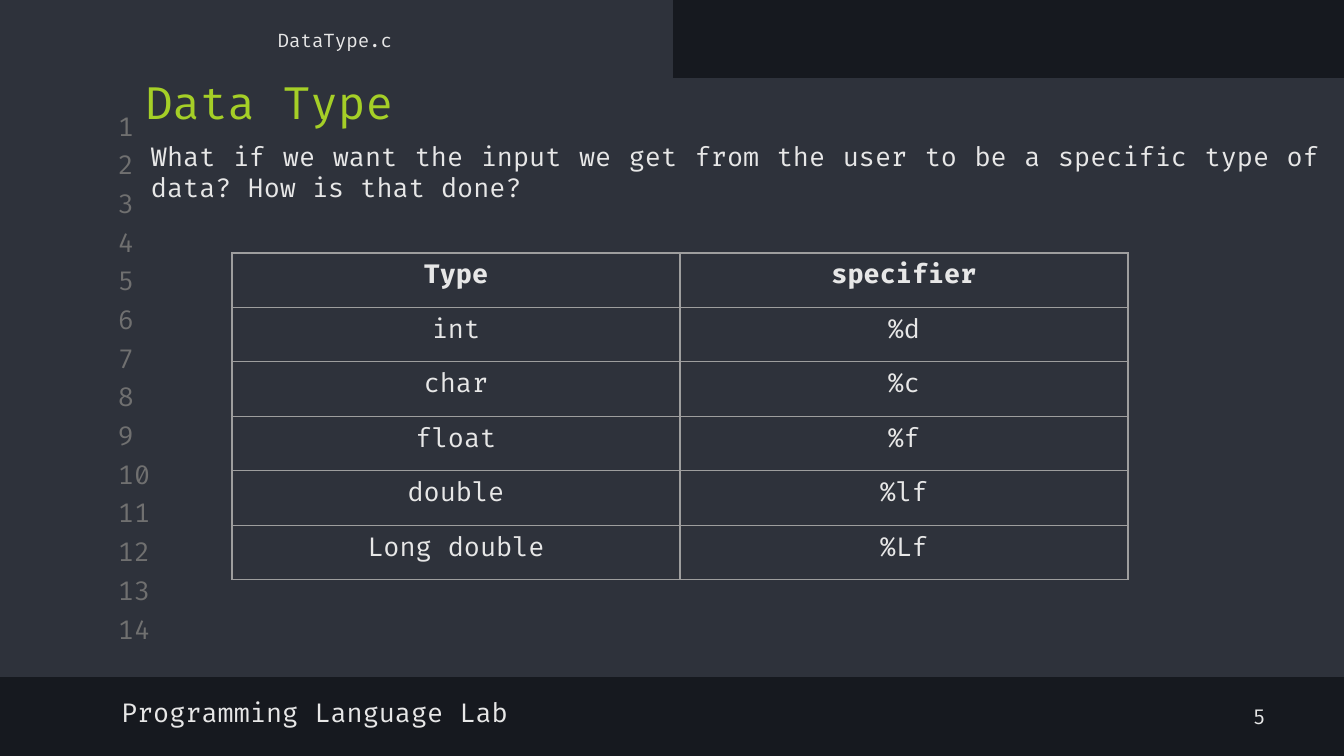
from dataclasses import dataclass

from lxml import etree
from pptx import Presentation
from pptx.dml.color import RGBColor
from pptx.enum.shapes import MSO_SHAPE
from pptx.enum.text import MSO_ANCHOR, MSO_AUTO_SIZE, PP_ALIGN
from pptx.oxml.ns import qn
from pptx.util import Pt

RECT = MSO_SHAPE.RECTANGLE
TOP, MIDDLE = MSO_ANCHOR.TOP, MSO_ANCHOR.MIDDLE
LEFT, CENTER, JUSTIFY = PP_ALIGN.LEFT, PP_ALIGN.CENTER, PP_ALIGN.JUSTIFY
FIXED = MSO_AUTO_SIZE.NONE
SCALE = 914400 / 134.4


@dataclass(frozen=True)
class Theme:
    face: str = "Fira Code"
    back: str = "16191F"
    panel: str = "2E323B"
    dim: str = "707070"
    ink: str = "E7E7E7"
    lime: str = "A5CF27"
    rule: str = "9E9E9E"
    title: int = 24
    body: int = 14
    page: int = 11
    tab: int = 10
    line: float = 0.75


def px(num):
    return round(num * SCALE)


def apply(item, values):
    for key, value in values.items():
        setattr(item, key, value)


class Deck:
    def __init__(self, theme):
        self.theme = theme
        self.file = Presentation()
        apply(self.file, {"slide_width": px(1344), "slide_height": px(756)})
        self.slide = self.file.slides.add_slide(self.file.slide_layouts[5])
        fill = self.slide.background.fill
        fill.solid()
        fill.fore_color.rgb = RGBColor.from_string(theme.back)

    def put(self, frame, text, size, color, align=LEFT, bold=False):
        frame.text = text
        para = frame.paragraphs[0]
        para.alignment = align
        font = para.runs[0].font
        apply(font, {"name": self.theme.face, "size": Pt(size), "bold": bold})
        font.color.rgb = RGBColor.from_string(color)

    def panel(self, *box):
        shape = self.slide.shapes.add_shape(RECT, *map(px, box))
        shape.shadow.inherit = False
        shape.fill.solid()
        color = RGBColor.from_string(self.theme.panel)
        shape.fill.fore_color.rgb = color
        shape.line.color.rgb = color
        shape.line.width = Pt(self.theme.line)

    def style(self, frame, anchor, pad):
        apply(frame, {
            "word_wrap": True, "auto_size": FIXED, "vertical_anchor": anchor,
            "margin_left": px(13), "margin_right": px(13),
            "margin_top": px(pad), "margin_bottom": px(pad),
        })

    def label(self, box, text, size, color, align=LEFT, anchor=MIDDLE, pad=13):
        frame = self.slide.shapes.add_textbox(*map(px, box)).text_frame
        self.style(frame, anchor, pad)
        self.put(frame, text, size, color, align)

    def title(self, box, text):
        shape = self.slide.shapes.title
        apply(shape, dict(zip(("left", "top", "width", "height"), map(px, box))))
        self.style(shape.text_frame, MIDDLE, 13)
        self.put(shape.text_frame, text, self.theme.title, self.theme.lime)
        node = shape.element
        node.getparent().append(node)

    def border(self, cell):
        props = cell._tc.get_or_add_tcPr()
        for side, tag in enumerate(("a:lnL", "a:lnR", "a:lnT", "a:lnB")):
            line = etree.Element(qn(tag), w=str(Pt(self.theme.line)))
            fill = etree.SubElement(line, qn("a:solidFill"))
            etree.SubElement(fill, qn("a:srgbClr"), val=self.theme.rule)
            props.insert(side, line)

    def table(self, box, rows):
        shapes = self.slide.shapes
        grid = shapes.add_table(len(rows), len(rows[0]), *map(px, box)).table
        apply(grid, {"first_row": False, "horz_banding": False})
        for r, row in enumerate(rows):
            for c, text in enumerate(row):
                cell = grid.cell(r, c)
                cell.fill.background()
                cell.vertical_anchor = TOP
                self.border(cell)
                self.put(cell.text_frame, text, self.theme.body,
                         self.theme.ink, CENTER, r == 0)


def main():
    theme = Theme()
    deck = Deck(theme)
    deck.panel(0, 79, 1344, 597)
    deck.panel(0, 0, 672, 87)
    for i in range(14):
        deck.label((105, 110 + i * 503 // 13, 63, 32), str(i + 1),
                   theme.body, theme.dim)
    deck.label((-1, 14, 672, 52), "DataType.c", theme.tab, theme.ink, CENTER)
    deck.title((132, 30, 864, 144), "Data Type")
    deck.label((138, 133, 1195, 109),
               "What if we want the input we get from the user to be a "
               "specific type of data? How is that done?",
               theme.body, theme.ink, JUSTIFY, TOP, 7)
    deck.table((232, 253, 896, 327), [
        ("Type", "specifier"),
        ("int", "%d"),
        ("char", "%c"),
        ("float", "%f"),
        ("double", "%lf"),
        ("Long double", "%Lf"),
    ])
    deck.label((108, 686, 715, 52), "Programming Language Lab",
               theme.body, theme.ink)
    deck.label((1240, 690, 47, 52), "5", theme.page, theme.ink)
    deck.file.save("out.pptx")


if __name__ == "__main__":
    main()
